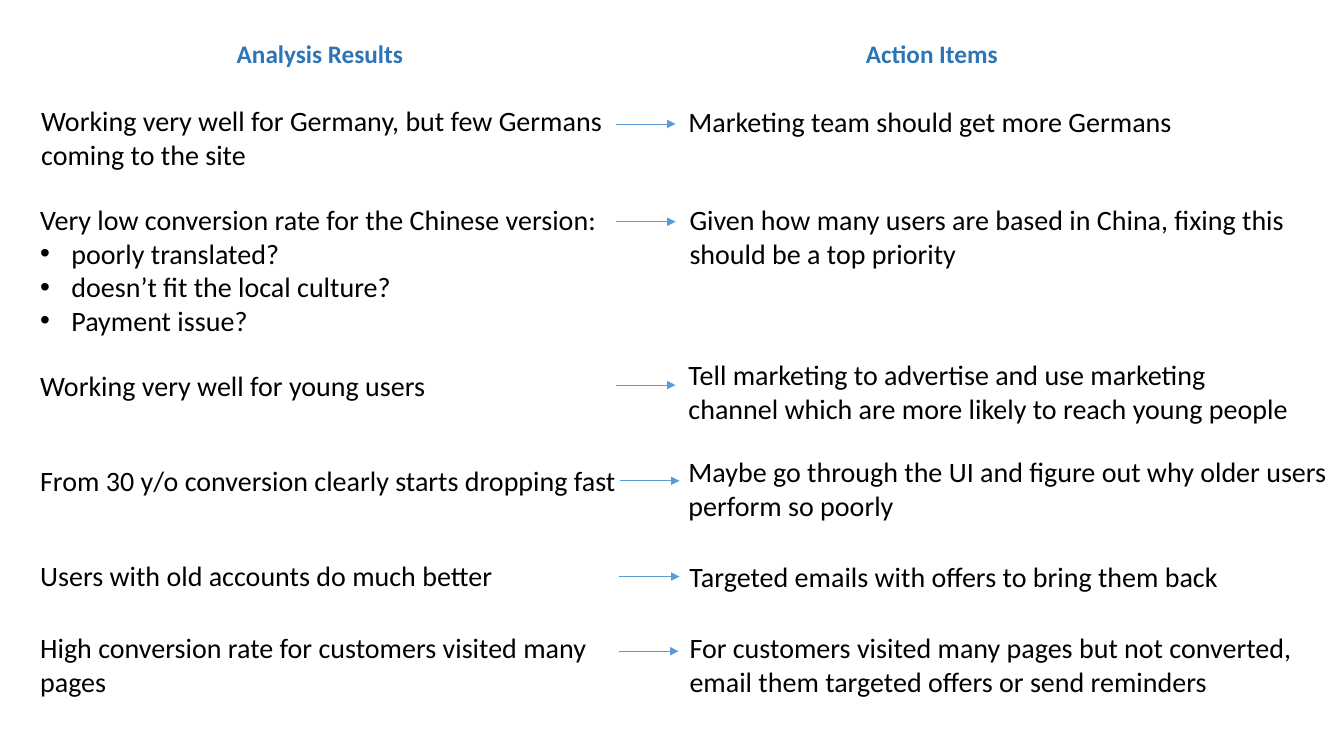
from dataclasses import dataclass

import pptx
import pptx.dml.color
import pptx.enum.dml
import pptx.enum.shapes
import pptx.enum.text
import pptx.oxml
import pptx.oxml.ns
import pptx.shapes.autoshape
import pptx.slide
import pptx.text.text
import pptx.util

EMU_PER_PX = 9144
ARROW_LENGTH = 59
BULLET_INDENT = 31
LEFT_SIDE = 1


@dataclass(frozen=True)
class Theme:
    font: str = "Calibri"
    bullet_font: str = "Arial"
    heading_size: int = 18
    body_size: int = 20
    arrow_weight: float = 0.5
    heading: str = "2E75B6"
    body: str = "000000"
    arrow: str = "5B9BD5"


@dataclass(frozen=True)
class Note:
    left: int
    top: int
    width: int
    height: int
    lines: tuple[str, ...]
    wrap: bool = False
    bullets: tuple[str, ...] = ()


@dataclass(frozen=True)
class Arrow:
    left: int
    top: int
    joined: bool = False


@dataclass(frozen=True)
class Finding:
    result: Note
    arrow: Arrow
    action: Note


THEME = Theme()

HEADINGS = (
    Note(225, 33, 186, 40, ("Analysis Results",)),
    Note(849, 33, 152, 40, ("Action Items",)),
)

FINDINGS = (
    Finding(
        Note(31, 98, 579, 77, ("Working very well for Germany, but few Germans coming to the site",), wrap=True),
        Arrow(611, 123),
        Note(673, 99, 504, 44, ("Marketing team should get more Germans",)),
    ),
    Finding(
        Note(30, 196, 577, 145, ("Very low conversion rate for the Chinese version:",),
             bullets=("poorly translated?", "doesn’t fit the local culture?", "Payment issue?")),
        Arrow(611, 220),
        Note(674, 196, 628, 77,
             ("Given how many users are based in China, fixing this should be a top priority",), wrap=True),
    ),
    Finding(
        Note(30, 361, 405, 44, ("Working very well for young users",)),
        Arrow(611, 382),
        Note(673, 350, 628, 77,
             ("Tell marketing to advertise and use marketing channel which are more likely to reach young people",),
             wrap=True),
    ),
    Finding(
        Note(30, 455, 596, 44, ("From 30 y/o conversion clearly starts dropping fast",)),
        Arrow(615, 477),
        Note(673, 446, 667, 77,
             ("Maybe go through the UI and figure out why older users perform so poorly",), wrap=True),
    ),
    Finding(
        Note(30, 549, 474, 44, ("Users with old accounts do much better",)),
        Arrow(614, 572, joined=True),
        Note(674, 550, 550, 44, ("Targeted emails with offers to bring them back",)),
    ),
    Finding(
        Note(30, 621, 566, 77, ("High conversion rate for customers visited many pages",), wrap=True),
        Arrow(614, 646),
        Note(674, 621, 629, 77,
             ("For customers visited many pages but not converted,",
              "email them targeted offers or send reminders")),
    ),
)


def px(length: int) -> pptx.util.Emu:
    return pptx.util.Emu(length * EMU_PER_PX)


def add_bullet(para: pptx.text.text._Paragraph) -> None:
    properties = para._p.get_or_add_pPr()
    properties.set("marL", str(px(BULLET_INDENT)))
    properties.set("indent", str(px(-BULLET_INDENT)))
    for tag, name, value in (("a:buFont", "typeface", THEME.bullet_font), ("a:buChar", "char", "•")):
        element = pptx.oxml.parse_xml(f"<{tag} {pptx.oxml.ns.nsdecls('a')}/>")
        element.set(name, value)
        properties.append(element)


def add_note(page: pptx.slide.Slide, note: Note, size: int, color: str,
             bold: bool = False) -> pptx.shapes.autoshape.Shape:
    box = page.shapes.add_textbox(px(note.left), px(note.top), px(note.width), px(note.height))
    frame = box.text_frame
    frame.word_wrap = note.wrap
    frame.auto_size = pptx.enum.text.MSO_AUTO_SIZE.SHAPE_TO_FIT_TEXT
    for index, line in enumerate(note.lines + note.bullets):
        para = frame.add_paragraph() if index else frame.paragraphs[0]
        if index >= len(note.lines):
            add_bullet(para)
        span = para.add_run()
        span.text = line
        span.font.name = THEME.font
        span.font.size = pptx.util.Pt(size)
        span.font.bold = bold
        span.font.color.rgb = pptx.dml.color.RGBColor.from_string(color)
    return box


def add_arrow(page: pptx.slide.Slide, arrow: Arrow, target: pptx.shapes.autoshape.Shape) -> None:
    connector = page.shapes.add_connector(
        pptx.enum.shapes.MSO_CONNECTOR.STRAIGHT,
        px(arrow.left), px(arrow.top), px(arrow.left + ARROW_LENGTH), px(arrow.top),
    )
    if arrow.joined:
        connector.end_connect(target, LEFT_SIDE)
    connector.line.color.rgb = pptx.dml.color.RGBColor.from_string(THEME.arrow)
    connector.line.width = pptx.util.Pt(THEME.arrow_weight)
    namespace = pptx.oxml.ns.nsdecls("a")
    connector.line._get_or_add_ln().append(pptx.oxml.parse_xml(f'<a:tailEnd {namespace} type="triangle"/>'))
    connector._element.spPr.append(pptx.oxml.parse_xml(f"<a:effectLst {namespace}/>"))


def main() -> None:
    deck = pptx.Presentation()
    deck.slide_width, deck.slide_height = px(1333), px(750)
    page = deck.slides.add_slide(deck.slide_layouts.get_by_name("Blank"))
    for heading in HEADINGS:
        add_note(page, heading, THEME.heading_size, THEME.heading, bold=True)
    for finding in FINDINGS:
        add_note(page, finding.result, THEME.body_size, THEME.body)
        action = add_note(page, finding.action, THEME.body_size, THEME.body)
        add_arrow(page, finding.arrow, action)
    deck.save("out.pptx")


if __name__ == "__main__":
    main()
